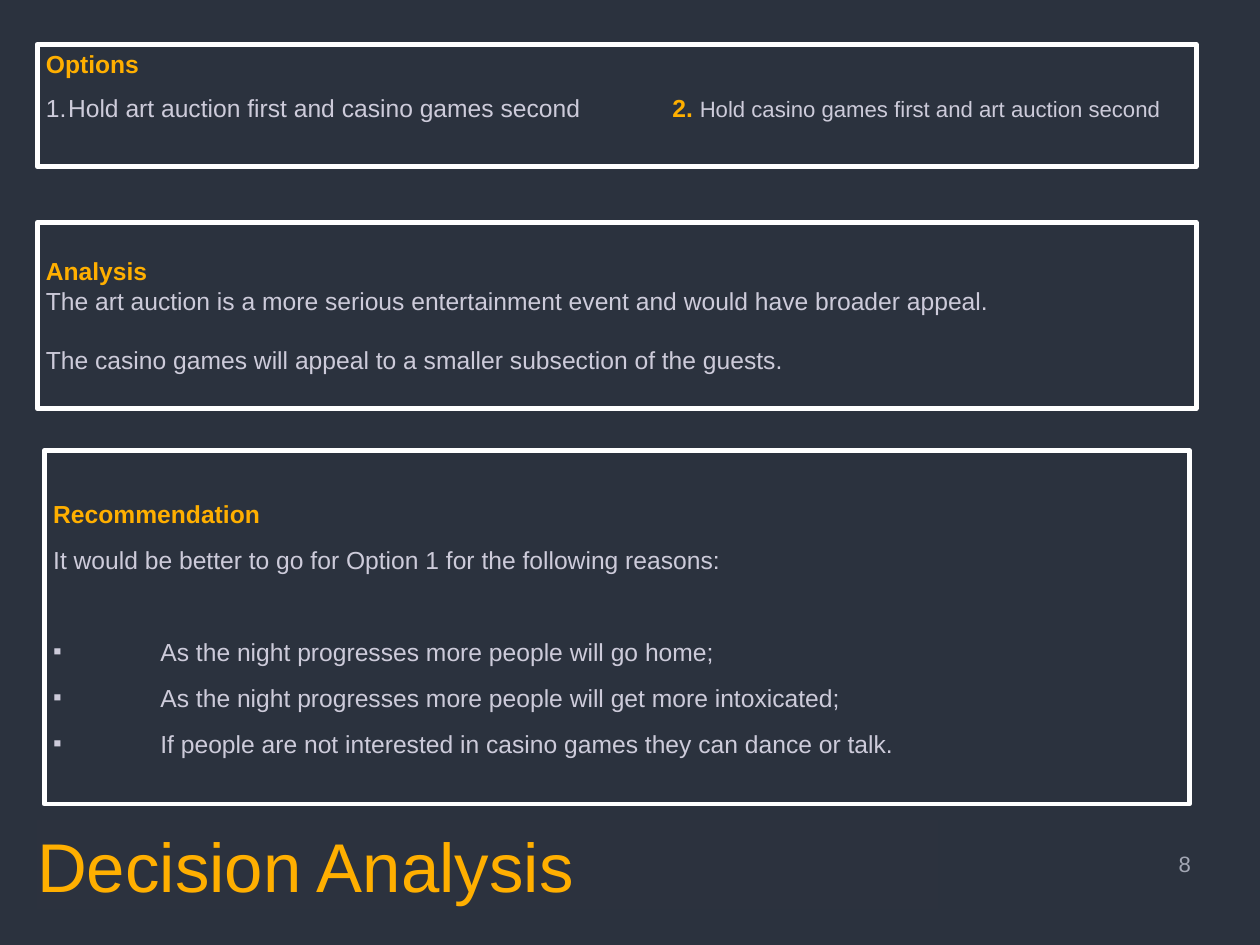
from dataclasses import dataclass

from lxml.etree import SubElement
from pptx import Presentation
from pptx.dml.color import RGBColor
from pptx.enum.text import MSO_ANCHOR as Anchor, MSO_AUTO_SIZE as AutoSize, PP_ALIGN as Align
from pptx.oxml.ns import qn
from pptx.util import Inches, Pt


@dataclass(frozen=True)
class Theme:
    font: str = "Arial"
    background: str = "2B323E"
    title_fill: str = "2C323E"
    accent: str = "FFAF00"
    body: str = "CDCBDA"
    number: str = "A3A7B4"
    border: str = "FFFFFF"
    title_size: int = 56
    body_size: int = 20
    small_size: int = 18
    border_width: int = 4


@dataclass(frozen=True)
class Line:
    """A paragraph: its text, space before in points and kind of marker."""
    text: str
    space: float = 0
    heading: bool = False
    marker: str = ""
    indent: float = 0


class SlideBuilder:
    def __init__(self, presentation, theme):
        self.presentation = presentation
        self.theme = theme
        self.slide = presentation.slides.add_slide(presentation.slide_layouts[1])
        self.fill(self.slide.background, theme.background)

    def fill(self, target, color):
        target.fill.solid()
        target.fill.fore_color.rgb = RGBColor.from_string(color)

    def place(self, shape, area):
        """Set left, top, width and height, given in percent of the slide."""
        width, height = self.presentation.slide_width, self.presentation.slide_height
        left, top, across, down = area
        shape.left, shape.width = int(width * left / 100), int(width * across / 100)
        shape.top, shape.height = int(height * top / 100), int(height * down / 100)

    def set_frame(self, shape, side=0.1, top=0.05, bottom=0.05, anchor=Anchor.TOP):
        frame = shape.text_frame
        frame.word_wrap = True
        frame.auto_size = AutoSize.NONE
        frame.vertical_anchor = anchor
        frame.margin_left = frame.margin_right = Inches(side)
        frame.margin_top, frame.margin_bottom = Inches(top), Inches(bottom)
        return frame

    def style(self, run, size, color, bold=False):
        run.font.name = self.theme.font
        run.font.size = Pt(size)
        run.font.bold = bold
        run.font.color.rgb = RGBColor.from_string(color)

    def text_box(self):
        return self.slide.shapes.add_textbox(0, 0, 0, 0)

    def title(self, text, area):
        shape = self.slide.shapes.title
        self.place(shape, area)
        self.fill(shape, self.theme.title_fill)
        frame = self.set_frame(shape, 0, 0, 0, Anchor.MIDDLE)
        frame.text = text
        frame.paragraphs[0].alignment = Align.LEFT
        self.style(frame.paragraphs[0].runs[0], self.theme.title_size, self.theme.accent)

    def number(self, text, area):
        shape = self.text_box()
        self.place(shape, area)
        frame = self.set_frame(shape)
        frame.text = text
        frame.paragraphs[0].alignment = Align.RIGHT
        self.style(frame.paragraphs[0].runs[0], self.theme.small_size, self.theme.number)

    def mark(self, paragraph, line):
        """Set the hanging indent and the bullet, number or lack of both."""
        properties = paragraph._p.get_or_add_pPr()
        properties.set("marL", str(Inches(line.indent)))
        properties.set("indent", str(-Inches(line.indent)))
        if line.marker == "1.":
            color = SubElement(properties, qn("a:buClr"))
            SubElement(color, qn("a:srgbClr"), val=self.theme.body)
            SubElement(properties, qn("a:buFont"), typeface=self.theme.font)
            SubElement(properties, qn("a:buAutoNum"), type="arabicPeriod")
        elif line.marker:
            SubElement(properties, qn("a:buFont"), typeface=self.theme.font)
            SubElement(properties, qn("a:buChar"), char=line.marker)
        else:
            SubElement(properties, qn("a:buNone"))

    def panel(self, shape, area, lines, top=0.05):
        """Draw a framed box of text and return its last paragraph."""
        theme = self.theme
        self.place(shape, area)
        shape.line.color.rgb = RGBColor.from_string(theme.border)
        shape.line.width = Pt(theme.border_width)
        frame = self.set_frame(shape, top=top)
        frame.text = "\n".join(line.text for line in lines)
        for paragraph, line in zip(frame.paragraphs, lines):
            self.mark(paragraph, line)
            paragraph.space_before = Pt(line.space)
            self.style(paragraph.runs[0], theme.body_size,
                       theme.accent if line.heading else theme.body, line.heading)
        return paragraph

    def second_option(self, paragraph, label, text, position):
        """Add a labelled option after a tab stop on the same line."""
        theme = self.theme
        tabs = SubElement(paragraph._p.get_or_add_pPr(), qn("a:tabLst"))
        SubElement(tabs, qn("a:tab"), pos=str(Inches(position)), algn="l")
        for part, size, color, bold in ((f"\t{label} ", theme.body_size, theme.accent, True),
                                        (text, theme.small_size, theme.body, False)):
            run = paragraph.add_run()
            run.text = part
            self.style(run, size, color, bold)


def main():
    presentation = Presentation()
    presentation.slide_width, presentation.slide_height = Inches(14.22), Inches(10.66)
    builder = SlideBuilder(presentation, Theme())

    builder.title("Decision Analysis", (2.95, 86.77, 71.52, 9.47))
    options = builder.panel(builder.text_box(), (2.95, 4.69, 91.98, 12.95), [
        Line("Options", heading=True),
        Line("Hold art auction first and casino games second", 12, marker="1.", indent=0.25),
    ])
    builder.second_option(options, "2.", "Hold casino games first and art auction second", 7.07)

    builder.panel(builder.text_box(), (2.95, 23.55, 91.98, 19.7), [
        Line("Analysis", heading=True),
        Line("The art auction is a more serious entertainment event "
             "and would have broader appeal."),
        Line("The casino games will appeal to a smaller subsection of the guests.", 24),
    ], top=0.38)

    reasons = ("As the night progresses more people will go home;",
               "As the night progresses more people will get more intoxicated;",
               "If people are not interested in casino games they can dance or talk.")
    builder.panel(builder.slide.placeholders[1], (3.52, 47.65, 90.86, 37.43), [
        Line("Recommendation", heading=True),
        Line("It would be better to go for Option 1 for the following reasons:", 13.5),
        *(Line(reason, 13.5 if index else 50, marker="▪", indent=1.21)
          for index, reason in enumerate(reasons)),
    ], top=0.55)
    builder.number("8", (92.41, 89.49, 2.81, 3.75))

    presentation.save("out.pptx")


if __name__ == "__main__":
    main()
